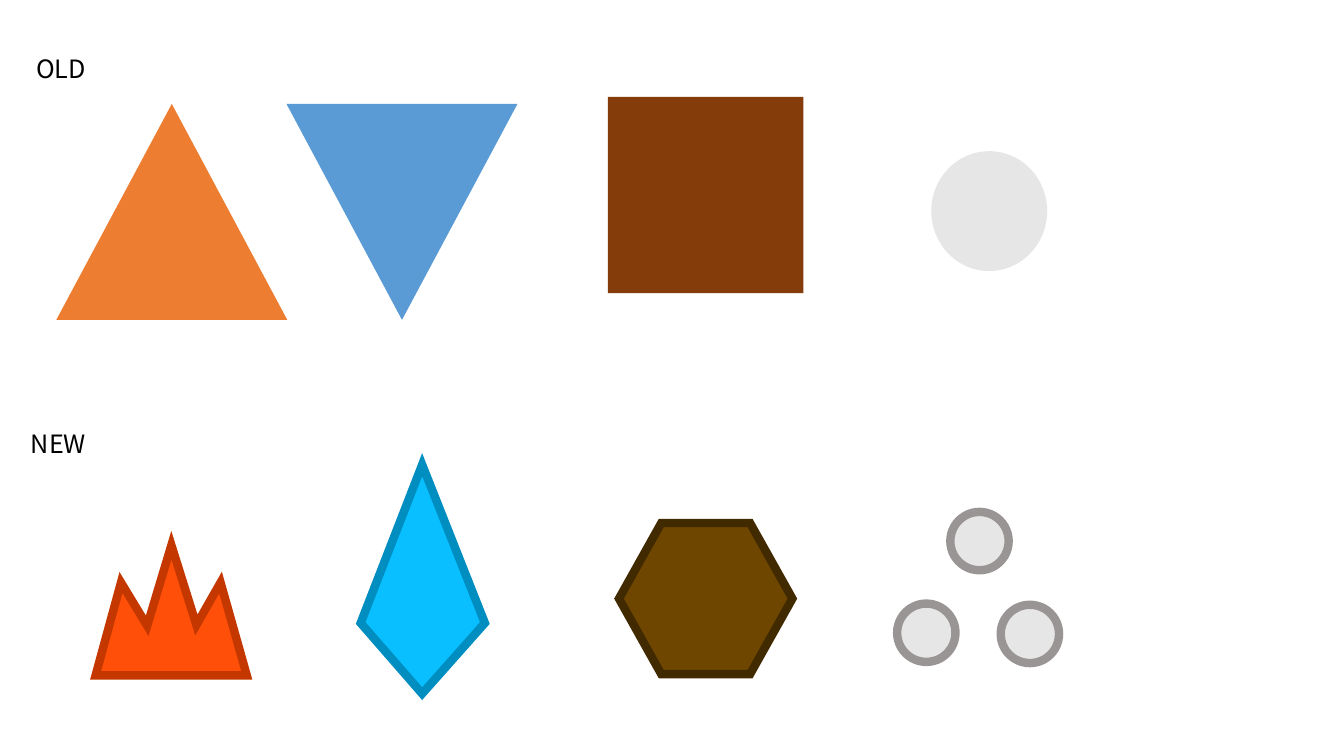
from lxml import etree
from pptx import Presentation
from pptx import util as u
from pptx.dml.color import RGBColor
from pptx.enum import shapes, text
from pptx.oxml.ns import qn

FONT = "Noto Sans CJK KR"
KIND = shapes.MSO_SHAPE
PALE = "E7E6E6"
LABELS = [("OLD", 0.66, 1.22, 1.78, 1.02), ("NEW", 0.53, 10.67, 1.96, 1.02)]
OLD_SHAPES = [
    (KIND.ISOSCELES_TRIANGLE, (1.42, 2.62, 5.82, 5.44), 0, "ED7D31"),
    (KIND.ISOSCELES_TRIANGLE, (7.22, 2.62, 5.82, 5.44), 180, "5B9BD5"),
    (KIND.RECTANGLE, (15.32, 2.44, 4.93, 4.95), 0, "843C0B"),
    (KIND.OVAL, (23.47, 3.81, 2.92, 3.02), 0, PALE),
]
FLAME = [(4.32, 13.74), (4.95, 15.75), (5.56, 14.68), (6.22, 17.02),
         (2.41, 17.02), (3.05, 14.68), (3.71, 15.77)]
KITE = [(10.64, 11.71), (12.22, 15.7), (10.64, 17.48), (9.09, 15.7)]
NEW_OUTLINES = [(FLAME, "FF4F09", "C43800"), (KITE, "09BFFF", "008EC0")]
HEXAGON = (15.6, 13.18, 4.37, 3.81)
PEBBLE_SIZE = 1.47
PEBBLES = [(22.61, 15.21), (25.22, 15.24), (23.95, 12.9)]


def color(value):
    return RGBColor.from_string(value)


def paint(shape, fill, line=None):
    shape.shadow.inherit = False
    shape.fill.solid()
    shape.fill.fore_color.rgb = color(fill)
    if line is None:
        shape.line.fill.background()
        return
    shape.line.color.rgb = color(line)
    shape.line.width = u.Pt(6)
    miter = etree.SubElement(shape.line._get_or_add_ln(), qn("a:miter"))
    miter.set("lim", "800000")


def add_preset(page, kind, place, fill, line=None):
    shape = page.shapes.add_shape(kind, *map(u.Cm, place))
    paint(shape, fill, line)
    return shape


def add_outline(page, points, fill, line):
    corners = [(u.Cm(x), u.Cm(y)) for x, y in points]
    builder = page.shapes.build_freeform(*corners[0])
    builder.add_line_segments(corners[1:], close=True)
    paint(builder.convert_to_shape(), fill, line)


def add_label(page, words, *place):
    box = page.shapes.add_textbox(*map(u.Cm, place))
    frame = box.text_frame
    frame.word_wrap = False
    frame.auto_size = text.MSO_AUTO_SIZE.SHAPE_TO_FIT_TEXT
    frame.text = words
    span = frame.paragraphs[0].runs[0]
    span.font.name = FONT
    span.font.size = u.Pt(18)
    span.font.color.rgb = color("000000")
    east_asian = etree.SubElement(span.font._element, qn("a:ea"))
    east_asian.set("typeface", FONT)


def main():
    deck = Presentation()
    deck.slide_width, deck.slide_height = u.Cm(33.87), u.Cm(19.05)
    page = deck.slides.add_slide(deck.slide_layouts[6])
    for kind, place, turn, fill in OLD_SHAPES:
        add_preset(page, kind, place, fill).rotation = turn
    for label in LABELS:
        add_label(page, *label)
    for outline in NEW_OUTLINES:
        add_outline(page, *outline)
    hexagon = add_preset(page, KIND.HEXAGON, HEXAGON, "6E4600", "422A00")
    hexagon.adjustments[0] = 0.28
    pebbles = page.shapes.add_group_shape()
    for left, top in PEBBLES:
        place = (left, top, PEBBLE_SIZE, PEBBLE_SIZE)
        add_preset(pebbles, KIND.OVAL, place, PALE, "999595")
    deck.save("out.pptx")


if __name__ == "__main__":
    main()
